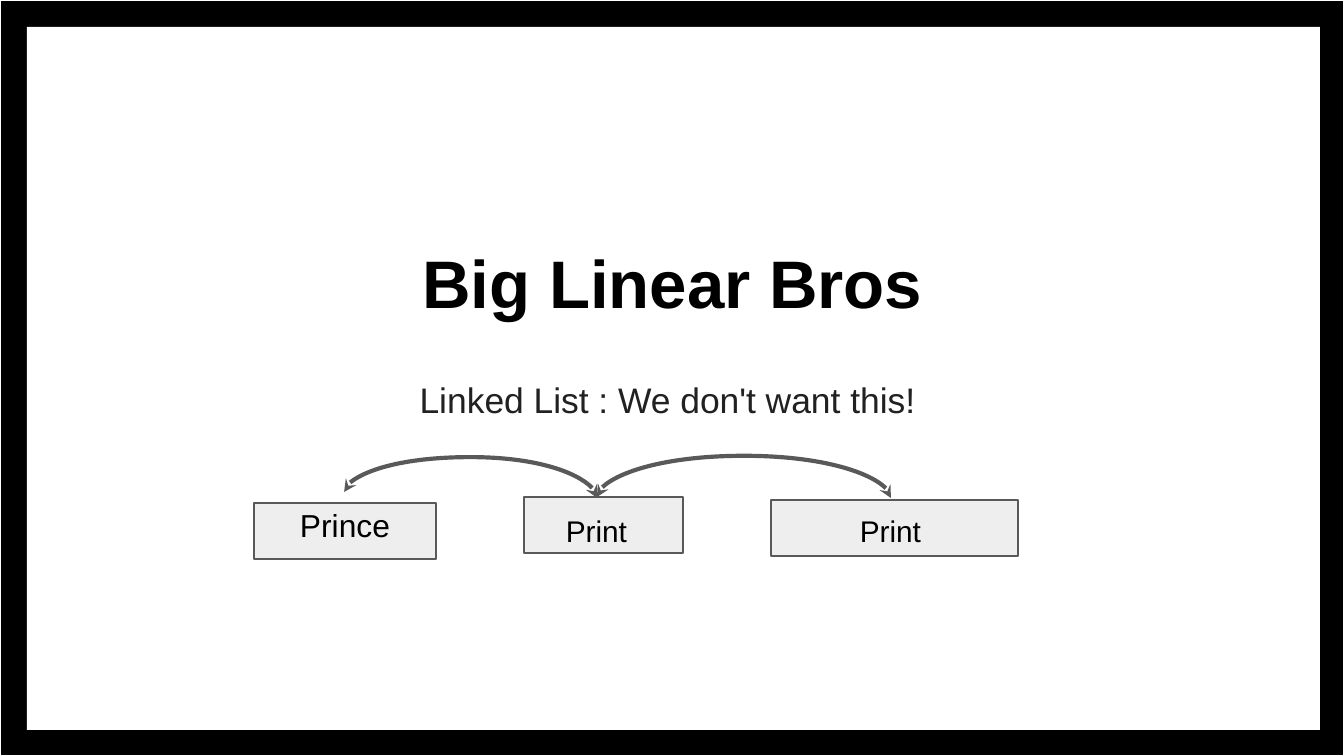
"""Build the Big Linear Bros slide with its linked list diagram."""
from lxml.etree import SubElement
from pptx import Presentation
from pptx.dml.color import RGBColor
from pptx.enum.shapes import MSO_CONNECTOR as Connector, MSO_SHAPE as Shape
from pptx.enum.text import MSO_ANCHOR as Anchor, MSO_AUTO_SIZE as AutoSize, PP_ALIGN as Align
from pptx.oxml.ns import qn
from pptx.util import Emu, Pt

BLACK = RGBColor(0x00, 0x00, 0x00)
WHITE = RGBColor(0xFF, 0xFF, 0xFF)
NODE_GREY = RGBColor(0xEE, 0xEE, 0xEE)
LINE_GREY = RGBColor(0x59, 0x59, 0x59)
TEXT_GREY = RGBColor(0x21, 0x21, 0x21)
EMU_PER_PX = 914400 / 134.4


def px(*lengths):
    return [Emu(round(length * EMU_PER_PX)) for length in lengths]


def write(holder, text, size, color, anchor=Anchor.TOP, bold=False):
    frame = holder.text_frame
    frame.word_wrap = True
    frame.auto_size = AutoSize.NONE
    frame.vertical_anchor = anchor
    frame.margin_left = frame.margin_right = frame.margin_top = frame.margin_bottom = Pt(7.2)
    paragraph = frame.paragraphs[0]
    paragraph.alignment = Align.CENTER
    run = paragraph.add_run()
    run.text = text
    run.font.name, run.font.size, run.font.bold = "Arial", Pt(size), bold
    run.font.color.rgb = color
    return paragraph


prs = Presentation()
prs.slide_width, prs.slide_height = px(1344, 756)
slide = prs.slides.add_slide(prs.slide_layouts[1])
shapes = slide.shapes
title, subtitle = slide.placeholders

panels = [
    ((0, 0, 1344, 756), BLACK, WHITE),
    ((27, 27, 1293, 703), WHITE, None),
    ((771, 500, 247, 56), NODE_GREY, LINE_GREY),
    ((524, 497, 159, 56), NODE_GREY, LINE_GREY),
    ((254, 503, 182, 56), NODE_GREY, LINE_GREY),
]
for box, fill, outline in panels:
    panel = shapes.add_shape(Shape.RECTANGLE, *px(*box))
    panel.shadow.inherit = False
    panel.fill.solid()
    panel.fill.fore_color.rgb = fill
    if outline is None:
        panel.line.fill.background()
    else:
        panel.line.color.rgb = outline
        panel.line.width = Pt(0.75)

for holder, top, height in [(title, 117, 218), (subtitle, 358, 300)]:
    holder.left, holder.top, holder.width, holder.height = px(198, top, 949, height)
    title.element.getparent().append(holder.element)

write(title, "Big Linear Bros", 36, BLACK, Anchor.BOTTOM, True)
warning = write(subtitle, "Linked List : We don't want this! ", 19, TEXT_GREY)
warning.line_spacing = 1.15
warning.space_before, warning.space_after = Pt(0), Pt(16)
warning_props = warning._p.get_or_add_pPr()
warning_props.set("marL", "0")
warning_props.set("indent", "0")
SubElement(warning_props, qn("a:buNone"))

labels = [
    ("Prince", 17, (231, 492, 228, 65)),
    ("Print", 16, (473, 499, 247, 63)),
    ("Print", 16, (767, 499, 247, 63)),
]
for word, size, box in labels:
    write(shapes.add_textbox(*px(*box)), word, size, BLACK)

for x1, y1, x2, y2, rise in [(344, 492, 597, 498, 35), (597, 497, 891, 498, 41)]:
    span, drop = x2 - x1, y2 - y1
    mid_x, mid_y = (x1 + x2) / 2, (y1 + y2) / 2
    link = shapes.add_connector(Connector.CURVE, *px(
        mid_x - drop / 2, mid_y - span / 2, mid_x + drop / 2, mid_y + span / 2))
    link.line.color.rgb = LINE_GREY
    link.line.width = Pt(2.25)
    props = link.element.spPr
    turn = props.find(qn("a:xfrm"))
    turn.set("rot", str(270 * 60000))
    turn.set("flipH", "1")
    bend = props.find(qn("a:prstGeom")).find(qn("a:avLst"))
    SubElement(bend, qn("a:gd"), name="adj1", fmla=f"val {round(-rise / drop * 100000)}")
    for end in ("a:headEnd", "a:tailEnd"):
        SubElement(props.find(qn("a:ln")), qn(end), type="stealth")
    SubElement(props, qn("a:effectLst"))

prs.save("out.pptx")
